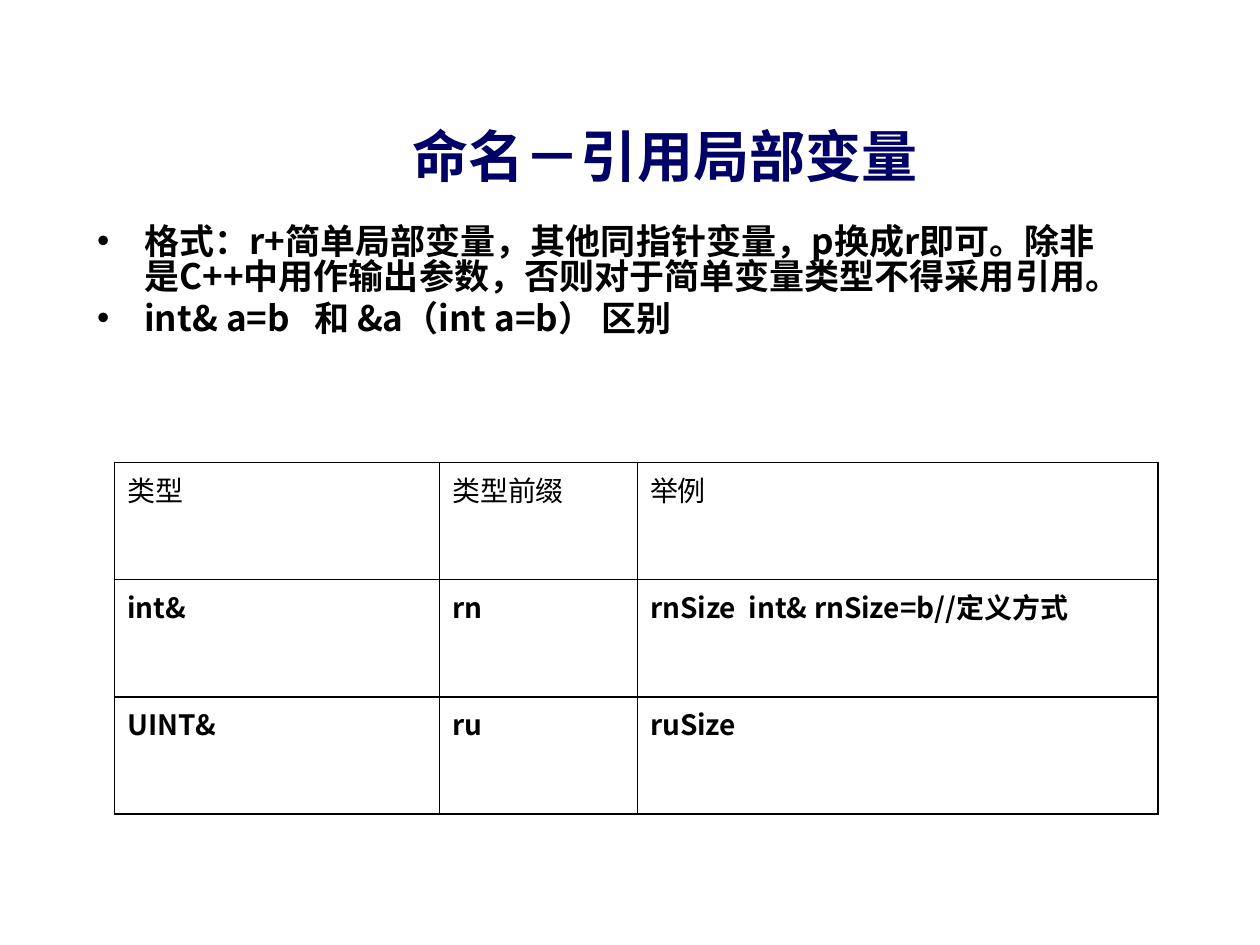
"""Build the slide on naming local reference variables."""
from lxml import etree
from pptx import Presentation
from pptx import util as u
from pptx.dml.color import RGBColor
from pptx.enum import text
from pptx.oxml.ns import qn

TITLE = "命名－引用局部变量"
RULES = [
    "格式：r+简单局部变量，其他同指针变量，p换成r即可。除非是C++中用作输出参数，否则对于简单变量类型不得采用引用。",
    "int& a=b   和 &a（int a=b） 区别",
]
PREFIXES = [
    ("类型", "类型前缀", "举例"),
    ("int&", "rn", "rnSize  int& rnSize=b//定义方式"),
    ("UINT&", "ru", "ruSize"),
]
COLUMN_WIDTHS = (2.58, 1.57, 4.13)
ROW_HEIGHT = 0.93
COLORS = {"title": "000066", "ink": "000000"}
CJK = "Noto Sans CJK SC"


def place(shape, left, top, width, height):
    shape.left, shape.top = u.Inches(left), u.Inches(top)
    shape.width, shape.height = u.Inches(width), u.Inches(height)


def style(paragraph, size, color, bold, latin=CJK):
    for run in paragraph.runs:
        run.font.size = u.Pt(size)
        run.font.bold = bold
        run.font.color.rgb = RGBColor.from_string(COLORS[color])
        run.font.name = latin
        etree.SubElement(run.font._element, qn("a:ea"), typeface=CJK)


def add_borders(cell):
    properties = cell._tc.get_or_add_tcPr()
    for position, side in enumerate(("lnL", "lnR", "lnT", "lnB")):
        line = etree.Element(qn(f"a:{side}"), w=str(u.Pt(1)))
        fill = etree.SubElement(line, qn("a:solidFill"))
        etree.SubElement(fill, qn("a:srgbClr"), val=COLORS["ink"])
        properties.insert(position, line)


def add_prefix_table(slide):
    frame = slide.shapes.add_table(
        len(PREFIXES), len(COLUMN_WIDTHS), u.Inches(0.91), u.Inches(3.67),
        u.Inches(sum(COLUMN_WIDTHS)), u.Inches(ROW_HEIGHT * len(PREFIXES)))
    table = frame.table
    table.first_row = table.horz_banding = False
    for column, width in zip(table.columns, COLUMN_WIDTHS):
        column.width = u.Inches(width)
    for r, entries in enumerate(PREFIXES):
        table.rows[r].height = u.Inches(ROW_HEIGHT)
        for c, entry in enumerate(entries):
            cell = table.cell(r, c)
            cell.text_frame.text = entry
            cell.fill.background()
            add_borders(cell)
            style(cell.text_frame.paragraphs[0], 16, "ink", r > 0)


def main():
    deck = Presentation()
    deck.slide_width, deck.slide_height = u.Inches(10), u.Inches(7.5)
    slide = deck.slides.add_slide(deck.slide_layouts[1])

    title = slide.shapes.title
    place(title, 1.06, 0.91, 8.44, 0.64)
    title.text_frame.text = TITLE
    title.text_frame.auto_size = text.MSO_AUTO_SIZE.NONE
    title.text_frame.vertical_anchor = text.MSO_ANCHOR.MIDDLE
    heading = title.text_frame.paragraphs[0]
    heading.alignment = text.PP_ALIGN.CENTER
    style(heading, 32, "title", True, "Arial")

    rules = slide.placeholders[1]
    place(rules, 0.67, 1.75, 8.36, 1.92)
    rules.text_frame.text = "\n".join(RULES)
    rules.text_frame.auto_size = text.MSO_AUTO_SIZE.NONE
    for rule in rules.text_frame.paragraphs:
        rule.line_spacing = 0.83
        style(rule, 20, "ink", True)

    add_prefix_table(slide)
    deck.save("out.pptx")


if __name__ == "__main__":
    main()
